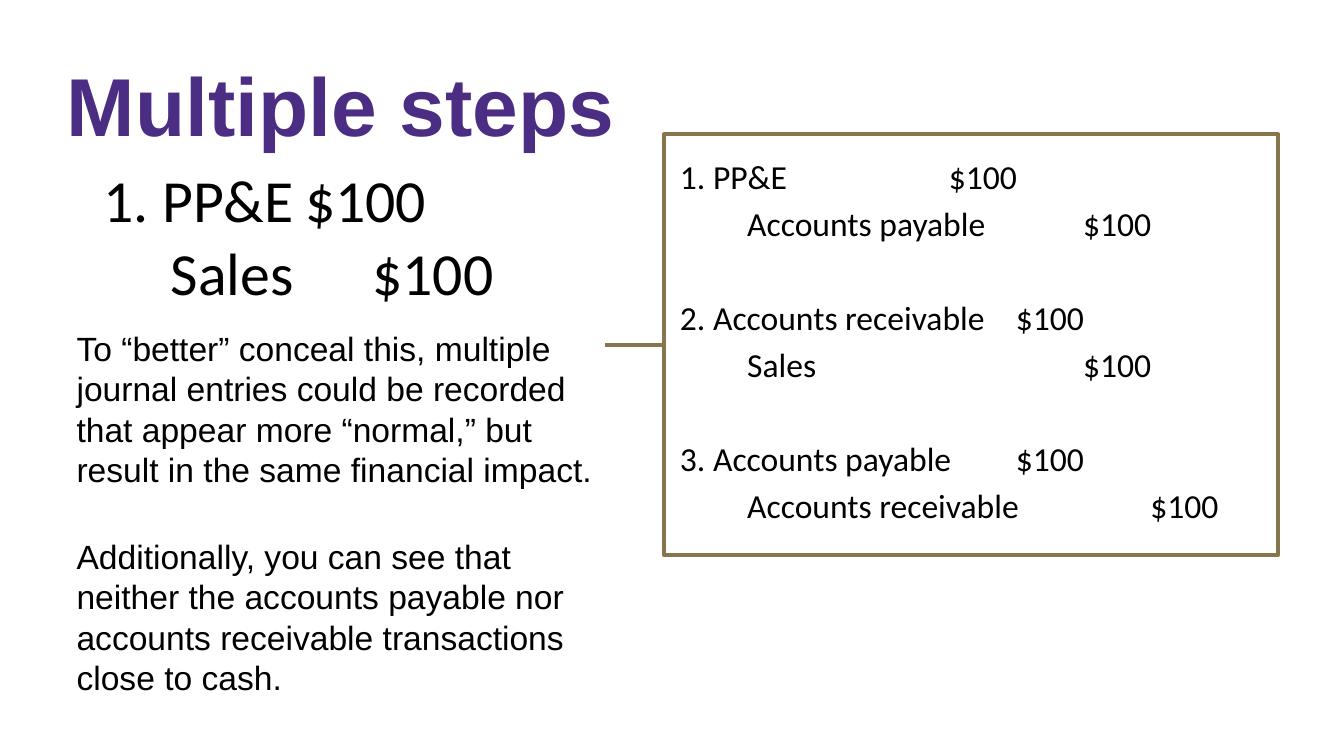
from pptx import Presentation, util as u
from pptx.dml.color import RGBColor
from pptx.enum import shapes, text
from pptx.oxml.ns import qn
from lxml import etree

# Grid: 100 columns across the slide, square cells
CELL = u.Inches(0.1)
COLUMNS, ROWS = 100, 56.25

PURPLE, GOLD, BLACK, WHITE = "4B2E84", "86754D", "000000", "FFFFFF"

# Each entry: debit account, its amount's tab stop, credit account, its tab stop (inches)
SINGLE_ENTRY = [("1. PP&E", 1.5, "Sales", 2)]
STEP_ENTRIES = [
    ("1. PP&E", 2, "Accounts payable", 3),
    ("2. Accounts receivable", 2.5, "Sales", 3),
    ("3. Accounts payable", 2.5, "Accounts receivable", 3.5),
]
CREDIT_INDENT = 0.5
AMOUNT = "$100"

EXPLANATION = [
    "To “better” conceal this, multiple journal entries could be recorded "
    "that appear more “normal,” but result in the same financial impact.",
    "Additionally, you can see that neither the accounts payable nor "
    "accounts receivable transactions close to cash.",
]


def colour(value):
    return RGBColor.from_string(value)


def cells(*counts):
    return [round(count * CELL) for count in counts]


def add_box(page, place, insets=(0, 0, 0, 0), anchor=text.MSO_ANCHOR.TOP):
    """Add a wrapping text box; insets run left, top, right, bottom."""
    frame = page.shapes.add_textbox(*cells(*place)).text_frame
    frame.word_wrap = True
    frame.vertical_anchor = anchor
    (frame.margin_left, frame.margin_top,
     frame.margin_right, frame.margin_bottom) = cells(*insets)
    return frame


def add_para(frame, words, size, font, ink=BLACK, bold=False, before=0, stops=()):
    first = not frame.paragraphs[0].runs
    para = frame.paragraphs[0] if first else frame.add_paragraph()
    para.space_before = u.Pt(0 if first else before)
    if stops:
        tabs = etree.SubElement(para._p.get_or_add_pPr(), qn("a:tabLst"))
        for stop in stops:
            etree.SubElement(tabs, qn("a:tab"), pos=str(u.Inches(stop)), algn="l")
    span = para.add_run()
    span.text = words
    span.font.name = font
    span.font.size = u.Pt(size)
    span.font.bold = bold
    span.font.color.rgb = colour(ink)


def add_journal(frame, entries, size, line_gap, entry_gap=0):
    """Write each entry as a debit line and an indented credit line."""
    for debit, debit_stop, credit, credit_stop in entries:
        add_para(frame, f"{debit}\t{AMOUNT}", size, "Calibri",
                 before=entry_gap, stops=[debit_stop])
        add_para(frame, f"\t{credit}\t{AMOUNT}", size, "Calibri",
                 before=line_gap, stops=[CREDIT_INDENT, credit_stop])


def add_panel(page, place):
    panel = page.shapes.add_shape(shapes.MSO_SHAPE.RECTANGLE, *cells(*place))
    panel.shadow.inherit = False
    panel.fill.solid()
    panel.fill.fore_color.rgb = colour(WHITE)
    panel.line.color.rgb = colour(GOLD)
    panel.line.width = u.Pt(2)
    return panel


def add_link(page, panel, end_column):
    """Run a level line from the middle of the panel's left side."""
    middle = panel.top + panel.height // 2
    link = page.shapes.add_connector(
        shapes.MSO_CONNECTOR.STRAIGHT, panel.left, middle, cells(end_column)[0], middle)
    link.begin_connect(panel, 1)
    link.line.color.rgb = colour(GOLD)
    link.line.width = u.Pt(2.25)
    etree.SubElement(link._element.spPr, qn("a:effectLst"))


def main():
    deck = Presentation()
    deck.slide_width, deck.slide_height = cells(COLUMNS, ROWS)
    page = deck.slides.add_slide(deck.slide_layouts[6])

    # Panel behind the step-by-step entries
    panel = add_panel(page, (49.4, 10, 45.7, 31.3))

    # Title
    title = add_box(page, (4, 3.6, 90.8, 8.3), (1, 0.5, 1, 0.5), text.MSO_ANCHOR.BOTTOM)
    add_para(title, "Multiple steps", 44, "Arial", PURPLE, bold=True)

    # Single entry on the left, the same result in steps on the right
    single = add_box(page, (6.2, 11.6, 31.9, 32.2), (1.5, 0.5, 1, 0.5))
    add_journal(single, SINGLE_ENTRY, 32, line_gap=1)
    steps = add_box(page, (50.6, 11.6, 45.6, 37.1))
    add_journal(steps, STEP_ENTRIES, 18, line_gap=3.6, entry_gap=28.8)

    # Explanation
    notes = add_box(page, (5.7, 24.4, 39.7, 24.3))
    for words in EXPLANATION:
        add_para(notes, words, 18, "Arial", before=25)

    # Line from the panel to the explanation
    add_link(page, panel, 45)

    deck.save("out.pptx")


if __name__ == "__main__":
    main()
